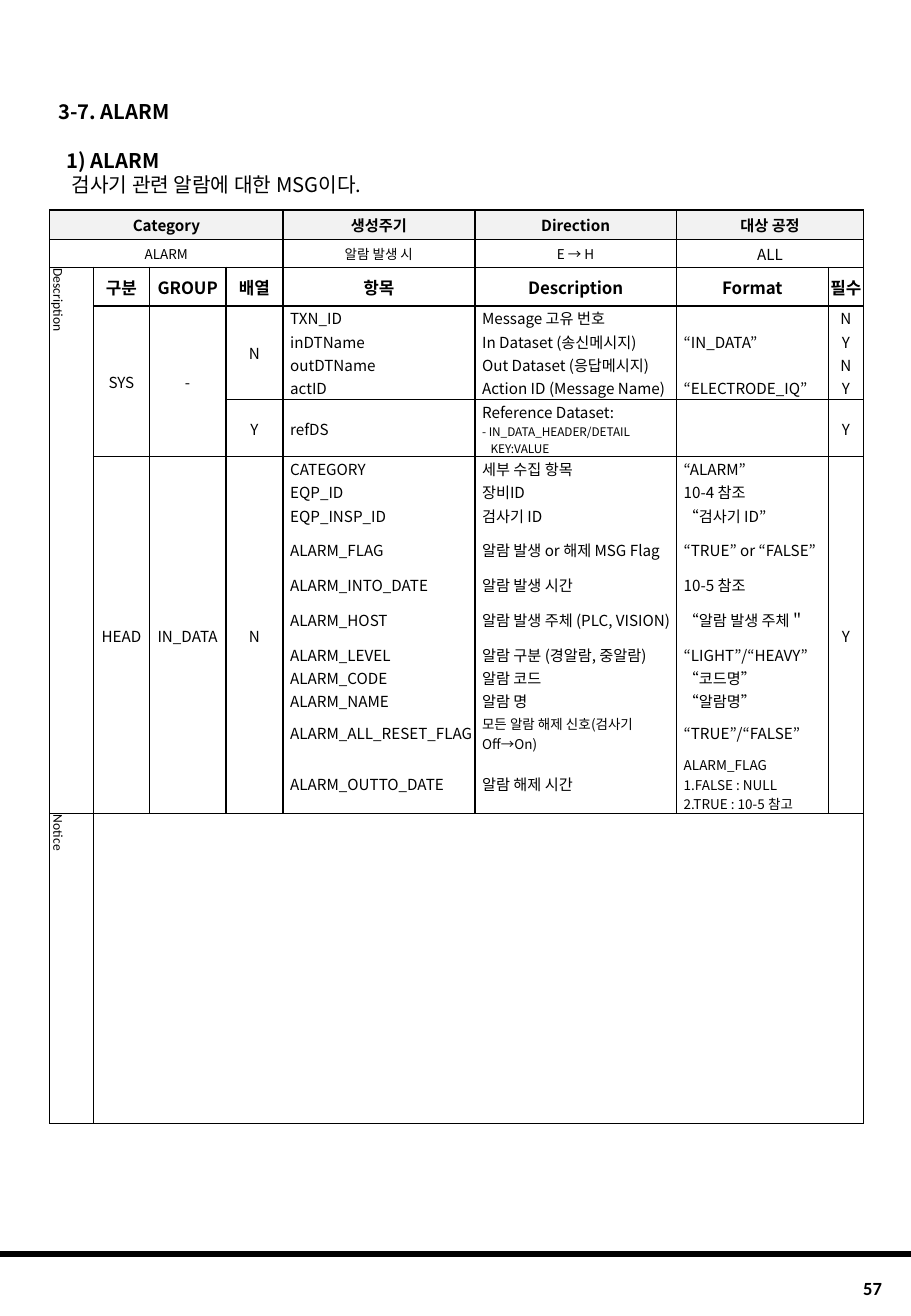
"""Build the ALARM message specification page."""
from dataclasses import dataclass

import pptx
import pptx.dml.color
import pptx.enum.shapes
import pptx.enum.text
import pptx.oxml.ns
import pptx.util
from lxml import etree

Inches = pptx.util.Inches
Pt = pptx.util.Pt
qn = pptx.oxml.ns.qn
Align = pptx.enum.text.PP_ALIGN
Anchor = pptx.enum.text.MSO_ANCHOR

BLACK = pptx.dml.color.RGBColor(0x00, 0x00, 0x00)
HEADER_GRAY = pptx.dml.color.RGBColor(0xF2, 0xF2, 0xF2)
KOREAN_FONT = "Noto Sans CJK KR"
LATIN_FONT = "Calibri"


@dataclass(frozen=True)
class Line:
    """One paragraph with its look."""

    text: str
    size: float = 9
    bold: bool = False
    font: str = KOREAN_FONT
    align: Align = Align.LEFT
    indent: float = 0


@dataclass(frozen=True)
class Span:
    """A block of merged table cells."""

    row: int
    column: int
    last_row: int
    last_column: int


COLUMN_WIDTHS = [0.36, 0.46, 0.63, 0.47, 1.58, 1.66, 1.25, 0.29]
LINE_HEIGHT = 0.19
ROW_HEIGHTS = (
    [0.24, 0.23, 0.32] + [LINE_HEIGHT] * 4 + [0.47] + [LINE_HEIGHT] * 3
    + [2 * LINE_HEIGHT, LINE_HEIGHT, 2 * LINE_HEIGHT] + [LINE_HEIGHT] * 3
    + [0.34, 0.48, 2.55]
)
TABLE_ROWS = [
    ["Category", "", "", "", "생성주기", "Direction", "대상 공정", ""],
    ["ALARM", "", "", "", "알람 발생 시", "E → H", "ALL", ""],
    ["Description", "구분", "GROUP", "배열", "항목", "Description", "Format", "필수"],
    ["", "SYS", "-", "N", "TXN_ID", "Message 고유 번호", "", "N"],
    ["", "", "", "", "inDTName", "In Dataset (송신메시지)", "“IN_DATA”", "Y"],
    ["", "", "", "", "outDTName", "Out Dataset (응답메시지)", "", "N"],
    ["", "", "", "", "actID", "Action ID (Message Name)", "“ELECTRODE_IQ”", "Y"],
    ["", "", "", "Y", "refDS", "", "", "Y"],
    ["", "HEAD", "IN_DATA", "N", "CATEGORY", "세부 수집 항목", "“ALARM”", "Y"],
    ["", "", "", "", "EQP_ID", "장비ID", "10-4 참조", ""],
    ["", "", "", "", "EQP_INSP_ID", "검사기 ID", "“검사기 ID”", ""],
    ["", "", "", "", "ALARM_FLAG", "알람 발생 or 해제 MSG Flag", "“TRUE” or “FALSE”", ""],
    ["", "", "", "", "ALARM_INTO_DATE", "알람 발생 시간", "10-5 참조", ""],
    ["", "", "", "", "ALARM_HOST", "알람 발생 주체 (PLC, VISION)", "“알람 발생 주체＂", ""],
    ["", "", "", "", "ALARM_LEVEL", "알람 구분 (경알람, 중알람)", "“LIGHT”/“HEAVY”", ""],
    ["", "", "", "", "ALARM_CODE", "알람 코드", "“코드명”", ""],
    ["", "", "", "", "ALARM_NAME", "알람 명", "“알람명”", ""],
    ["", "", "", "", "ALARM_ALL_RESET_FLAG", "", "“TRUE”/“FALSE”", ""],
    ["", "", "", "", "ALARM_OUTTO_DATE", "알람 해제 시간", "", ""],
    ["Notice", "", "", "", "", "", "", ""],
]
SPECIAL_CELLS = {
    (1, 6): [Line("ALL", align=Align.CENTER)],
    (7, 5): [
        Line("Reference Dataset:"),
        Line("- IN_DATA_HEADER/DETAIL", 7),
        Line("KEY:VALUE", 7, indent=0.07),
    ],
    (10, 6): [Line("“검사기 ID”", align=Align.JUSTIFY)],
    (17, 5): [Line("모든 알람 해제 신호(검사기 Off→On)", 8)],
    (18, 6): [Line(text, 8) for text in ("ALARM_FLAG", "1.FALSE : NULL", "2.TRUE : 10-5 참고")],
}
SPANS = (
    [Span(row, 0, row, 3) for row in (0, 1)]
    + [Span(row, 6, row, 7) for row in (0, 1)]
    + [Span(2, 0, 18, 0), Span(3, 3, 6, 3), Span(19, 1, 19, 7)]
    + [Span(3, column, 7, column) for column in (1, 2)]
    + [Span(8, column, 18, column) for column in (1, 2, 3, 7)]
)
CONTINUED_ROWS = {*range(4, 7), *range(9, 19)}


def write_lines(frame: pptx.text.text.TextFrame, lines: list[Line]) -> None:
    """Fill a text frame with one paragraph per line."""
    frame.text = "\n".join(line.text for line in lines)
    for paragraph, line in zip(frame.paragraphs, lines):
        paragraph.alignment = line.align
        paragraph.font.size = Pt(line.size)
        paragraph.font.bold = line.bold
        paragraph.font.name = line.font
        paragraph.font.color.rgb = BLACK
        properties = paragraph._p.get_or_add_pPr()
        etree.SubElement(properties.find(qn("a:defRPr")), qn("a:ea"), typeface=KOREAN_FONT)
        if line.indent:
            properties.set("marL", str(Inches(line.indent)))
        if not line.text:
            etree.SubElement(paragraph._p, qn("a:endParaRPr"), sz=str(int(line.size * 100)))


def cell_lines(row: int, column: int) -> list[Line]:
    """Return the paragraphs of a table cell."""
    if (row, column) in SPECIAL_CELLS:
        return SPECIAL_CELLS[row, column]
    text = TABLE_ROWS[row][column]
    if column == 0 and row >= 2:
        return [Line(text, 8, font=LATIN_FONT)]
    size = {1: 8, 2: 10}.get(row, 9)
    align = Align.LEFT if row >= 3 and column in (4, 5, 6) else Align.CENTER
    return [Line(text, size, bold=row in (0, 2), align=align)]


def set_borders(cell: pptx.table._Cell, row: int) -> None:
    """Outline a cell, leaving rows inside a group undivided."""
    properties = cell._tc.get_or_add_tcPr()
    next_row = row + cell.span_height if cell.is_merge_origin else row + 1
    visible = {
        "a:lnL": True,
        "a:lnR": True,
        "a:lnT": row not in CONTINUED_ROWS,
        "a:lnB": next_row not in CONTINUED_ROWS,
    }
    for tag, shown in visible.items():
        border = etree.SubElement(properties, qn(tag), w=str(Pt(1)))
        if shown:
            fill = etree.SubElement(border, qn("a:solidFill"))
            etree.SubElement(fill, qn("a:srgbClr"), val=str(BLACK))
        else:
            etree.SubElement(border, qn("a:noFill"))


def add_message_table(slide: pptx.slide.Slide) -> None:
    """Add the message specification table."""
    table = slide.shapes.add_table(
        len(ROW_HEIGHTS), len(COLUMN_WIDTHS), Inches(0.41), Inches(1.73),
        Inches(sum(COLUMN_WIDTHS)), Inches(sum(ROW_HEIGHTS)),
    ).table
    table.first_row = False
    table.horz_banding = False
    for column, width in zip(table.columns, COLUMN_WIDTHS):
        column.width = Inches(width)
    for row, height in zip(table.rows, ROW_HEIGHTS):
        row.height = Inches(height)
    for span in SPANS:
        table.cell(span.row, span.column).merge(table.cell(span.last_row, span.last_column))
    for row in range(len(ROW_HEIGHTS)):
        for column in range(len(COLUMN_WIDTHS)):
            cell = table.cell(row, column)
            lines = cell_lines(row, column)
            write_lines(cell.text_frame, lines)
            cell.vertical_anchor = Anchor.MIDDLE
            indented = row >= 3 and column in (4, 5, 6)
            cell.margin_left = Inches(0.06 if indented else 0.01)
            cell.margin_top = cell.margin_right = Inches(0.01)
            cell.margin_bottom = 0
            if column == 0 and row >= 2:
                cell._tc.get_or_add_tcPr().set("vert", "vert")
            set_borders(cell, row)
            if row == 0:
                cell.fill.solid()
                cell.fill.fore_color.rgb = HEADER_GRAY
            else:
                cell.fill.background()


def main() -> None:
    """Create the page and save it."""
    presentation = pptx.Presentation()
    presentation.slide_width = Inches(7.5)
    presentation.slide_height = Inches(10.83)
    slide = presentation.slides.add_slide(presentation.slide_layouts[6])

    footer_line = slide.shapes.add_connector(
        pptx.enum.shapes.MSO_CONNECTOR.STRAIGHT, 0, Inches(10.32), Inches(7.5), Inches(10.32)
    )
    footer_line.line.color.rgb = BLACK
    footer_line.line.width = Pt(3)
    etree.SubElement(footer_line._element.spPr, qn("a:effectLst"))

    add_message_table(slide)

    page_number = slide.shapes.add_textbox(Inches(6.18), Inches(10.46), Inches(1.18), Inches(0.28))
    page_number.text_frame.word_wrap = True
    page_number.text_frame.vertical_anchor = Anchor.MIDDLE
    write_lines(page_number.text_frame, [Line("57", 11, True, LATIN_FONT, Align.RIGHT)])

    heading = slide.shapes.add_textbox(Inches(0.4), Inches(0.82), Inches(6.69), Inches(0.81)).text_frame
    heading.word_wrap = True
    heading.margin_left = heading.margin_top = heading.margin_right = heading.margin_bottom = 0
    write_lines(heading, [
        Line("3-7. ALARM", 12, True, indent=0.08),
        Line("1) ALARM", 12, True, indent=0.15),
        Line("검사기 관련 알람에 대한 MSG이다.", 12, indent=0.19),
    ])
    for paragraph in heading.paragraphs:
        paragraph.line_spacing = Pt(14.4)
    heading.paragraphs[1].space_before = Pt(14.4)

    presentation.save("out.pptx")


if __name__ == "__main__":
    main()
